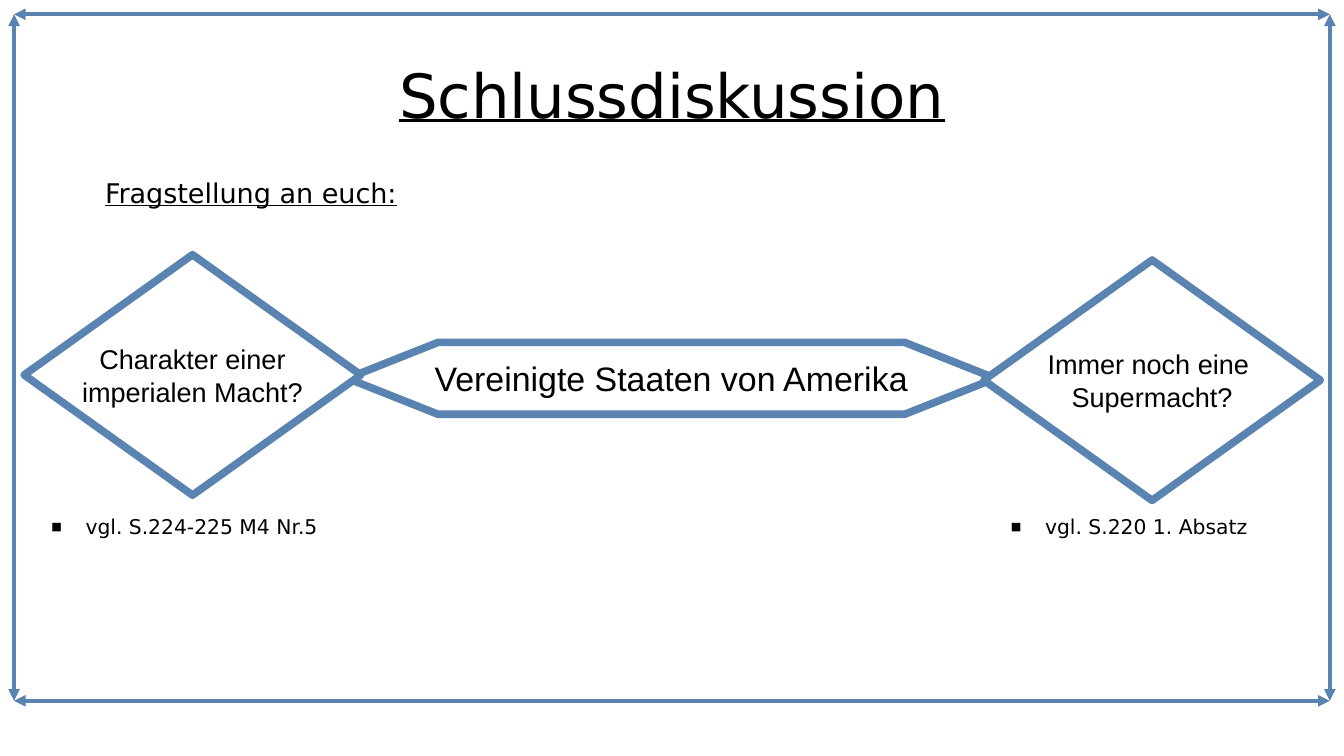
"""Build the closing discussion slide with its two linked questions."""
from itertools import pairwise

from lxml.etree import SubElement
from pptx import Presentation
from pptx.dml.color import RGBColor
from pptx.enum.shapes import MSO_CONNECTOR, MSO_SHAPE
from pptx.enum.text import MSO_ANCHOR, MSO_AUTO_SIZE, PP_ALIGN
from pptx.oxml.ns import qn
from pptx.util import Inches, Pt

HUES = {"line": "5983B0", "fill": "FFFFFF", "text": "000000"}
SHIFT = 71.4


def hue(name):
    return RGBColor.from_string(HUES[name])


class Board:
    """Hold the style and the slide, measured on a grid of 100 by 100."""

    head_font, shape_font = "DejaVu Sans", "Arial"

    def __init__(self, wide, high):
        self.deck = Presentation()
        self.deck.slide_width, self.deck.slide_height = Inches(wide), Inches(high)
        self.col, self.row = Inches(wide) / 100, Inches(high) / 100
        self.slide = self.deck.slides.add_slide(self.deck.slide_layouts[4])

    def spot(self, x, y):
        return round(x * self.col), round(y * self.row)

    def add_text(self, par, text, size, font, under=False):
        run = par.add_run()
        run.text = text
        run.font.name, run.font.size = font, Pt(size)
        run.font.bold, run.font.underline = False, under
        run.font.color.rgb = hue("text")

    def frame(self, left, top, right, low):
        ends = [(left, top), (right, top), (right, low), (left, low), (left, top)]
        for start, end in pairwise(ends):
            edge = self.slide.shapes.add_connector(
                MSO_CONNECTOR.STRAIGHT, *self.spot(*start), *self.spot(*end))
            edge.line.color.rgb, edge.line.width = hue("line"), Pt(2.3)
            props = edge.element.spPr
            for tip in ("a:headEnd", "a:tailEnd"):
                SubElement(props.find(qn("a:ln")), qn(tip), type="triangle")
            SubElement(props, qn("a:effectLst"))

    def holder(self, key, x, y, wide, high, text, size, under=False):
        item = self.slide.placeholders[key]
        item.left, item.top = self.spot(x, y)
        item.width, item.height = self.spot(wide, high)
        body = item.text_frame
        body.margin_left = body.margin_right = body.margin_top = body.margin_bottom = 0
        body.word_wrap, body.auto_size = True, MSO_AUTO_SIZE.NONE
        body.vertical_anchor = MSO_ANCHOR.TOP
        par = body.paragraphs[0]
        par.space_before = Pt(0)
        self.add_text(par, text, size, self.head_font, under)
        return body

    def title(self, *box, text):
        body = self.holder(0, *box, text, 36, True)
        body.vertical_anchor = MSO_ANCHOR.MIDDLE
        body.paragraphs[0].alignment = PP_ALIGN.CENTER

    def lead(self, *box, text):
        body = self.holder(1, *box, text, 16, True)
        props = body.paragraphs[0]._p.get_or_add_pPr()
        props.set("marL", str(Inches(0.31)))
        props.set("indent", "0")
        SubElement(props, qn("a:buNone"))

    def point(self, key, *box, text):
        body = self.holder(key, *box, text, 12)
        props = body.paragraphs[0]._p.get_or_add_pPr()
        props.set("marL", str(Inches(0.31)))
        props.set("indent", str(Inches(-0.28)))
        tint = SubElement(props, qn("a:buClr"))
        SubElement(tint, qn("a:srgbClr"), val=HUES["text"])
        SubElement(props, qn("a:buSzPct"), val="55000")
        SubElement(props, qn("a:buFont"), typeface=self.head_font)
        SubElement(props, qn("a:buChar"), char="■")

    def shape(self, kind, x, y, wide, high, lines, size):
        item = self.slide.shapes.add_shape(kind, *self.spot(x, y), *self.spot(wide, high))
        item.shadow.inherit = False
        item.fill.solid()
        item.fill.fore_color.rgb = hue("fill")
        item.line.color.rgb, item.line.width = hue("line"), Pt(4.5)
        body = item.text_frame
        body.margin_left = body.margin_right = Inches(0.13)
        body.margin_top = body.margin_bottom = Inches(0.08)
        body.word_wrap, body.vertical_anchor = False, MSO_ANCHOR.MIDDLE
        for rank, text in enumerate(lines):
            par = body.add_paragraph() if rank else body.paragraphs[0]
            par.alignment = PP_ALIGN.CENTER
            self.add_text(par, text, size, self.shape_font)
        return item

    def drop(self, key):
        item = self.slide.placeholders[key].element
        item.getparent().remove(item)


def main():
    board = Board(11.02, 6.2)
    board.frame(1.05, 1.9, 98.95, 92.7)
    board.title(5, 4, 90, 16.8, text="Schlussdiskussion")
    board.lead(5, 23.4, 90, 58, text="Fragstellung an euch:")
    arrow = board.shape(MSO_SHAPE.LEFT_RIGHT_ARROW, 25.86, 45.3, 48.2, 9.5,
                        ["Vereinigte Staaten von Amerika"], 20)
    arrow.adjustments[0], arrow.adjustments[1] = 1, 1.26
    sides = [
        (33.7, ["Charakter einer", "imperialen Macht?"], "vgl. S.224-225 M4 Nr.5"),
        (34.4, ["Immer noch eine ", "Supermacht?"], "vgl. S.220 1. Absatz"),
    ]
    for side, (top, lines, source) in enumerate(sides):
        move = side * SHIFT
        board.shape(MSO_SHAPE.DIAMOND, 1.8 + move, top, 25.05, 31.8, lines, 16)
        board.point(side + 2, 3.55 + move, 68.05, 21.8, 12.3, text=source)
    board.drop(4)
    board.deck.save("out.pptx")


if __name__ == "__main__":
    main()
